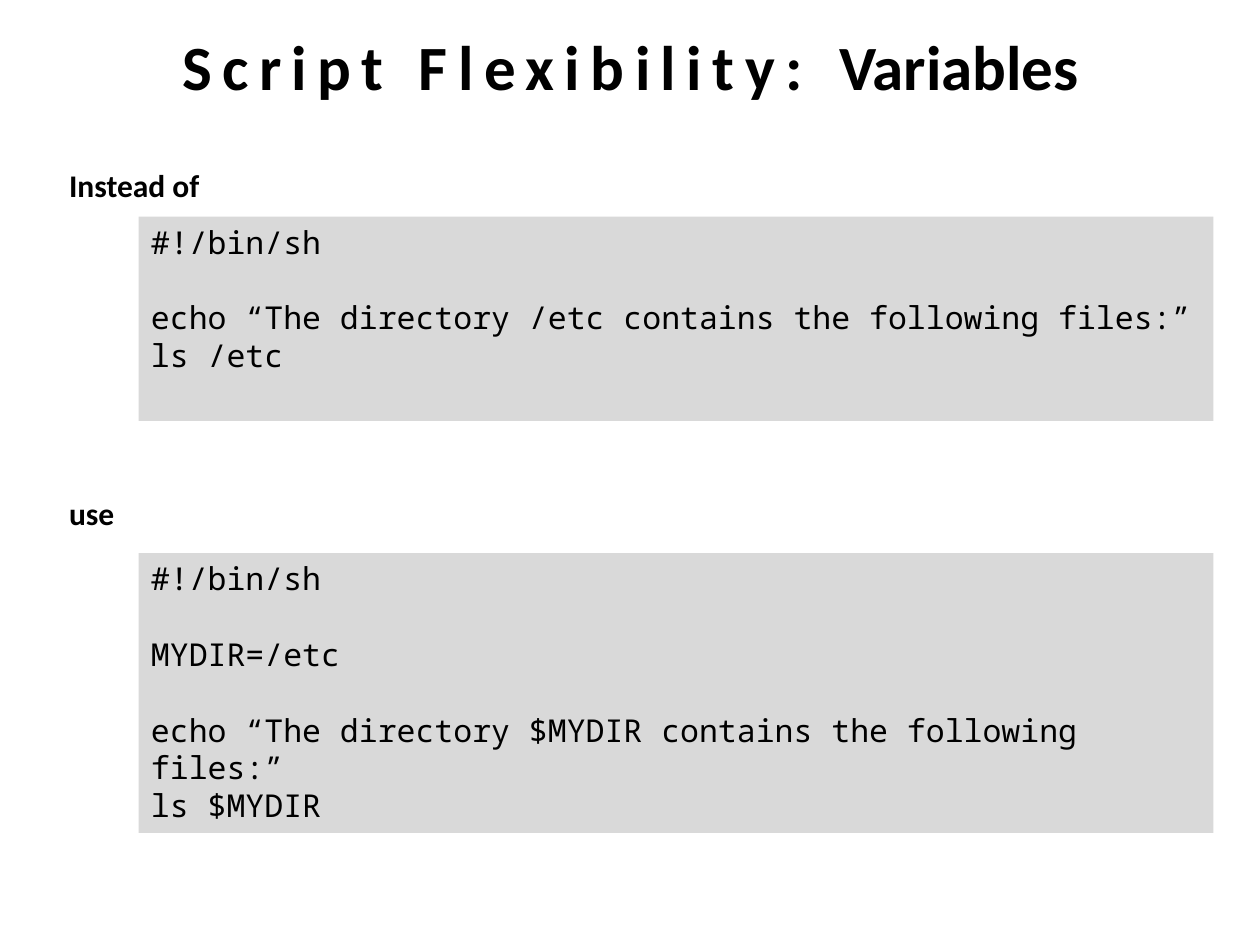
"""Build the slide on script variables."""
from pptx import Presentation
from pptx.dml.color import RGBColor
from pptx.enum.shapes import MSO_SHAPE as Shape
from pptx.enum.text import MSO_ANCHOR as Anchor, PP_ALIGN as Align
from pptx.util import Inches, Pt

deck = Presentation()
deck.slide_width, deck.slide_height = Inches(10), Inches(7.5)
col, row = deck.slide_width / 100, deck.slide_height / 100
slide = deck.slides.add_slide(deck.slide_layouts[6])


def color(code):
    return RGBColor.from_string(code)


def write(para, text, style):
    run = para.add_run()
    run.text = text
    run.font.color.rgb = color("000000")
    for key, value in style.items():
        setattr(run.font, key, value)
    return run


head = {"name": "Calibri", "size": Pt(36), "bold": True}
label = {**head, "size": Pt(18)}
code = {"name": "Noto Sans Mono", "size": Pt(18)}

title = slide.shapes.add_textbox(*map(int, (13.1 * col, 2.27 * row, 73.9 * col, 9.47 * row)))
title.text_frame.word_wrap = False
para = title.text_frame.paragraphs[0]
para.alignment = Align.CENTER
wide = write(para, "Script Flexibility: ", head)
wide._r.get_or_add_rPr().set("spc", "600")
write(para, "Variables", head)

parts = [
    ("Instead of", 12.5, 16.93, 22.93, 21.6,
     [["#!/bin/sh"],
      ["echo “The directory /etc contains the following files:”", "ls /etc"]]),
    ("use", 5.7, 51.6, 58.53, 29.6,
     [["#!/bin/sh"], ["MYDIR=/etc"],
      ["echo “The directory $MYDIR contains the following files:”", "ls $MYDIR"]]),
]
for name, width, top, start, height, blocks in parts:
    tag = slide.shapes.add_textbox(*map(int, (4.5 * col, top * row, width * col, 5.33 * row)))
    tag.text_frame.word_wrap = False
    write(tag.text_frame.paragraphs[0], name, label)

    box = slide.shapes.add_shape(
        Shape.RECTANGLE, *map(int, (11 * col, start * row, 85.3 * col, height * row)))
    box.shadow.inherit = False
    box.fill.solid()
    box.fill.fore_color.rgb = color("D9D9D9")
    box.line.fill.background()
    frame = box.text_frame
    frame.word_wrap = True
    frame.vertical_anchor = Anchor.TOP
    for i, block in enumerate(blocks):
        for j, line in enumerate(block):
            para = frame.add_paragraph() if i or j else frame.paragraphs[0]
            para.alignment = Align.LEFT
            para.space_before = Pt(21.6 if i and not j else 0)
            write(para, line, code)

deck.save("out.pptx")
